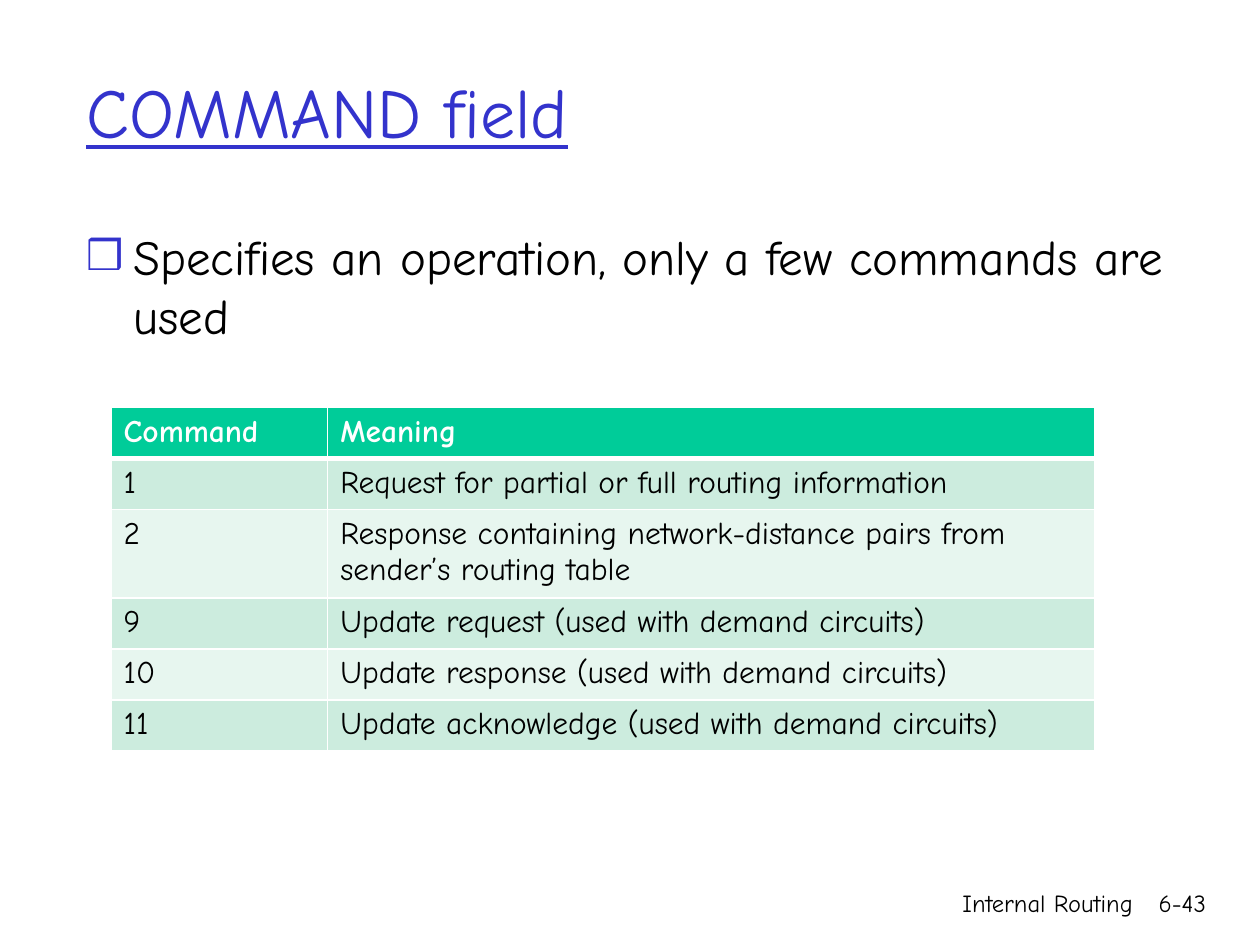
from dataclasses import dataclass

import pptx
import pptx.dml.color
import pptx.enum.text
import pptx.oxml
import pptx.oxml.ns
import pptx.util

Pt = pptx.util.Pt
Align = pptx.enum.text.PP_ALIGN
Anchor = pptx.enum.text.MSO_ANCHOR

FONT = "Comic Neue"
BLUE, BLACK, WHITE = "3333CC", "000000", "FFFFFF"
HEADER_FILL = "00CC99"
BAND_FILLS = ("CCECDE", "E7F6EF")
ROW_HEIGHT = 29.2
COLUMN_WIDTHS = (123.9, 438.4)


@dataclass
class Box:
    left: float
    top: float
    width: float
    height: float

    def lengths(self) -> list:
        return [Pt(v) for v in (self.left, self.top, self.width, self.height)]


@dataclass
class Command:
    code: str
    meaning: str


@dataclass
class FooterItem:
    text: str
    box: Box


COMMANDS = [
    Command("1", "Request for partial or full routing information"),
    Command("2", "Response containing network-distance pairs from sender’s routing table"),
    Command("9", "Update request (used with demand circuits)"),
    Command("10", "Update response (used with demand circuits)"),
    Command("11", "Update acknowledge (used with demand circuits)"),
]
FOOTER = [
    FooterItem("Internal Routing", Box(426, 504, 228.5, 36)),
    FooterItem("6-43", Box(643, 504, 53.2, 36)),
]


def color(hex_value: str) -> pptx.dml.color.RGBColor:
    return pptx.dml.color.RGBColor.from_string(hex_value)


def write(frame, text: str, size: float, hex_value: str, align=Align.LEFT, bold=False):
    frame.text = text
    paragraph = frame.paragraphs[0]
    paragraph.alignment = align
    paragraph.font.name = FONT
    paragraph.font.size = Pt(size)
    paragraph.font.bold = bold
    paragraph.font.color.rgb = color(hex_value)
    return paragraph


def fill_placeholder(placeholder, box: Box, text: str, size: float, hex_value: str, anchor):
    placeholder.left, placeholder.top, placeholder.width, placeholder.height = box.lengths()
    frame = placeholder.text_frame
    frame.auto_size = pptx.enum.text.MSO_AUTO_SIZE.NONE
    frame.vertical_anchor = anchor
    return write(frame, text, size, hex_value)


def add_bullet(paragraph, char: str, hex_value: str, percent: int, indent: float) -> None:
    properties = paragraph._p.get_or_add_pPr()
    properties.set("marL", str(Pt(indent)))
    properties.set("indent", str(-Pt(indent)))
    ns = pptx.oxml.ns.nsdecls("a")
    parts = (
        f'<a:buClr {ns}><a:srgbClr val="{hex_value}"/></a:buClr>',
        f'<a:buSzPct {ns} val="{percent * 1000}"/>',
        f'<a:buChar {ns} char="{char}"/>',
    )
    for position, part in enumerate(parts):
        properties.insert(position, pptx.oxml.parse_xml(part))


def add_borders(cell, bottom: float) -> None:
    ns = pptx.oxml.ns.nsdecls("a")
    for side, width in (("L", 1), ("R", 1), ("T", 1), ("B", bottom)):
        cell._tc.get_or_add_tcPr().append(pptx.oxml.parse_xml(
            f'<a:ln{side} {ns} w="{Pt(width)}"><a:solidFill>'
            f'<a:srgbClr val="{WHITE}"/></a:solidFill></a:ln{side}>'))


def add_command_table(slide, left: float, top: float, commands: list[Command]) -> None:
    rows = [Command("Command", "Meaning"), *commands]
    box = Box(left, top, sum(COLUMN_WIDTHS), ROW_HEIGHT * len(rows))
    table = slide.shapes.add_table(len(rows), len(COLUMN_WIDTHS), *box.lengths()).table
    for column, width in zip(table.columns, COLUMN_WIDTHS):
        column.width = Pt(width)
    for index, row in enumerate(rows):
        table.rows[index].height = Pt(ROW_HEIGHT)
        header = index == 0
        # The row under the header repeats its thick edge so both cells agree.
        for cell, text in zip(table.rows[index].cells, (row.code, row.meaning)):
            add_borders(cell, bottom=3 if header else 1)
            cell.fill.solid()
            cell.fill.fore_color.rgb = color(HEADER_FILL if header else BAND_FILLS[(index - 1) % 2])
            write(cell.text_frame, text, 18, WHITE if header else BLACK, bold=header)
    for cell in table.rows[1].cells:
        top_edge = cell._tc.tcPr.find(pptx.oxml.ns.qn("a:lnT"))
        top_edge.set("w", str(Pt(3)))


def add_footer_item(slide, item: FooterItem) -> None:
    frame = slide.shapes.add_textbox(*item.box.lengths()).text_frame
    frame.word_wrap = True
    write(frame, item.text, 14, BLACK, Align.RIGHT)


def main() -> None:
    deck = pptx.Presentation()
    deck.slide_width, deck.slide_height = Pt(720), Pt(540)
    slide = deck.slides.add_slide(deck.slide_layouts[1])

    title = fill_placeholder(slide.shapes.title, Box(42, 18, 612, 90),
                             "COMMAND field", 40, BLUE, Anchor.MIDDLE)
    title.font.underline = True
    summary = fill_placeholder(slide.placeholders[1], Box(42, 126, 651.6, 95.8),
                               "Specifies an operation, only a few commands are used",
                               28, BLACK, Anchor.TOP)
    add_bullet(summary, "❒", BLUE, percent=85, indent=27)

    for item in FOOTER:
        add_footer_item(slide, item)
    add_command_table(slide, 63.4, 232.8, COMMANDS)
    deck.save("out.pptx")


if __name__ == "__main__":
    main()
